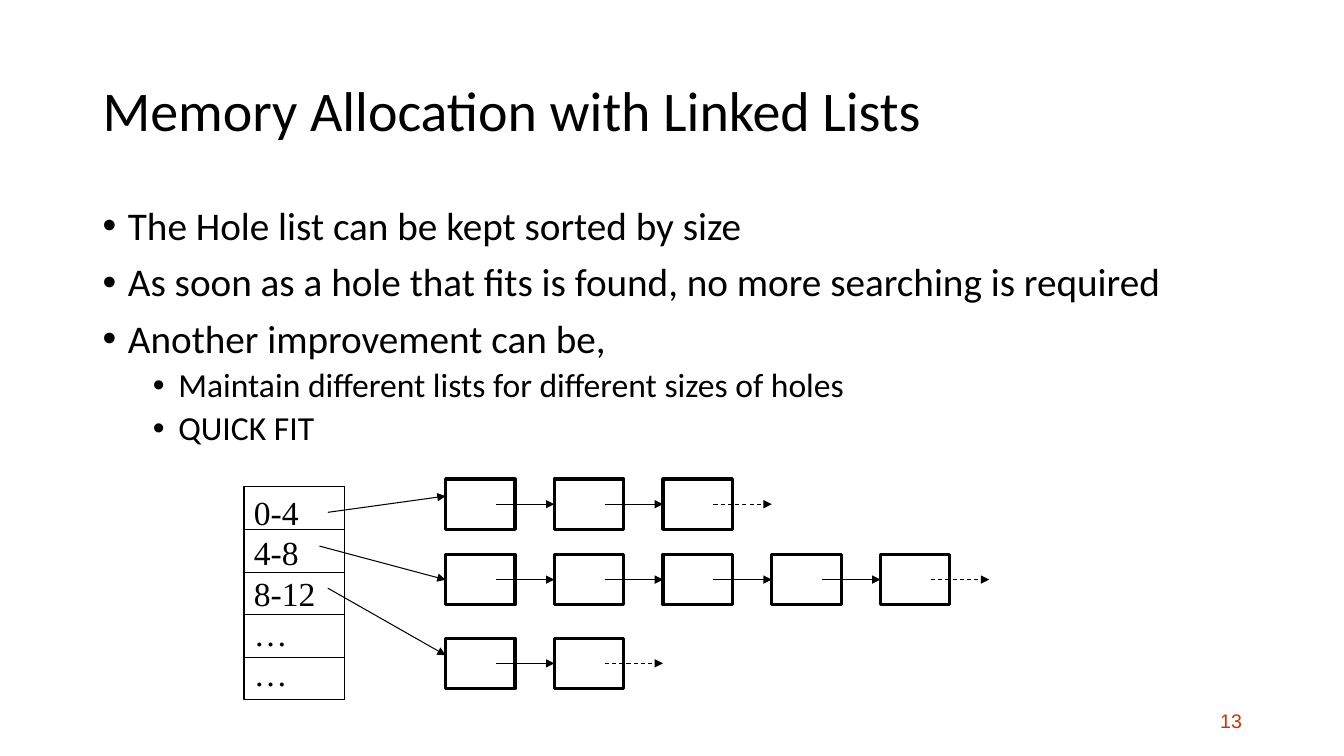
from dataclasses import dataclass

import pptx
import pptx.dml.color
import pptx.enum.dml
import pptx.enum.shapes
import pptx.enum.text
import pptx.oxml
import pptx.oxml.ns
import pptx.util
from pptx.util import Cm, Pt

BLACK = pptx.dml.color.RGBColor(0x00, 0x00, 0x00)
RUST = pptx.dml.color.RGBColor(0xCC, 0x33, 0x00)
ANCHOR = pptx.enum.text.MSO_ANCHOR
ALIGN = pptx.enum.text.PP_ALIGN

BOX_LEFT, BOX_PITCH, BOX_W, BOX_H = 11.23, 2.74, 1.75, 1.27
LINK_INSET = 1.27
TABLE_LEFT, TABLE_TOP, TABLE_W, TABLE_H = 6.15, 12.27, 2.54, 5.36


@dataclass
class Bullet:
    text: str
    level: int = 0


@dataclass
class HoleList:
    top: float
    holes: int
    pointer: tuple[float, float, float, float]


BULLETS = [
    Bullet("The Hole list can be kept sorted by size"),
    Bullet("As soon as a hole that fits is found, no more searching is required"),
    Bullet("Another improvement can be,"),
    Bullet("Maintain different lists for different sizes of holes", 1),
    Bullet("QUICK FIT", 1),
]
SIZE_CLASSES = ["0-4", "4-8", "8-12", "…", "…"]
HOLE_LISTS = [
    HoleList(12.07, 3, (8.26, 12.91, BOX_LEFT, 12.5)),
    HoleList(13.97, 5, (8.05, 13.76, BOX_LEFT, 14.61)),
    HoleList(16.08, 2, (8.26, 14.82, BOX_LEFT, 16.51)),
]


def add_run(p, text: str, size: float, font: str, color=BLACK) -> None:
    r = p.add_run()
    r.text = text
    r.font.size = Pt(size)
    r.font.name = font
    r.font.color.rgb = color


def place(sp, left: float, top: float, width: float, height: float) -> None:
    sp.left, sp.top, sp.width, sp.height = Cm(left), Cm(top), Cm(width), Cm(height)


def add_box(slide, left: float, top: float, width: float, height: float, weight: float):
    sp = slide.shapes.add_shape(
        pptx.enum.shapes.MSO_SHAPE.RECTANGLE, Cm(left), Cm(top), Cm(width), Cm(height))
    sp.shadow.inherit = False
    sp.fill.background()
    sp.line.color.rgb = BLACK
    sp.line.width = Pt(weight)
    return sp


def add_line(slide, x1: float, y1: float, x2: float, y2: float,
             arrow: bool = True, dashed: bool = False) -> None:
    cx = slide.shapes.add_connector(
        pptx.enum.shapes.MSO_CONNECTOR.STRAIGHT, Cm(x1), Cm(y1), Cm(x2), Cm(y2))
    cx.line.color.rgb = BLACK
    cx.line.width = Pt(0.75)
    if dashed:
        cx.line.dash_style = pptx.enum.dml.MSO_LINE.DASH
    if arrow:
        ln = cx.line._get_or_add_ln()
        ln.append(ln.makeelement(pptx.oxml.ns.qn("a:tailEnd"), {"type": "triangle"}))
    sp_pr = cx._element.spPr
    sp_pr.append(sp_pr.makeelement(pptx.oxml.ns.qn("a:effectLst"), {}))


def add_title(slide) -> None:
    sp = slide.shapes.title
    place(sp, 2.33, 1.02, 29.21, 3.68)
    tf = sp.text_frame
    tf.auto_size = pptx.enum.text.MSO_AUTO_SIZE.NONE
    tf.vertical_anchor = ANCHOR.MIDDLE
    p = tf.paragraphs[0]
    p.alignment = ALIGN.LEFT
    p.line_spacing = 0.9
    add_run(p, "Memory Allocation with Linked Lists", 40, "Calibri")


def add_bullets(slide) -> None:
    sp = slide.placeholders[1]
    place(sp, 2.33, 5.08, 29.21, 12.09)
    tf = sp.text_frame
    tf.auto_size = pptx.enum.text.MSO_AUTO_SIZE.NONE
    for i, item in enumerate(BULLETS):
        p = tf.add_paragraph() if i else tf.paragraphs[0]
        p.level = item.level
        p.line_spacing = 0.9
        p.space_before = Pt(5 if item.level else 10)
        p_pr = p._p.get_or_add_pPr()
        p_pr.set("marL", str(Cm(0.64 + 1.27 * item.level)))
        p_pr.set("indent", str(-Cm(0.64)))
        for tag, attrs in (("a:buFont", {"typeface": "Arial"}), ("a:buChar", {"char": "•"})):
            p_pr.append(p_pr.makeelement(pptx.oxml.ns.qn(tag), attrs))
        add_run(p, item.text, 24 if item.level else 28, "Calibri")


def add_size_table(slide) -> None:
    tf = add_box(slide, TABLE_LEFT, TABLE_TOP, TABLE_W, TABLE_H, 0.75).text_frame
    tf.vertical_anchor = ANCHOR.TOP
    for i, label in enumerate(SIZE_CLASSES):
        p = tf.add_paragraph() if i else tf.paragraphs[0]
        p.alignment = ALIGN.LEFT
        add_run(p, label, 24, "Times New Roman")
    row_h = TABLE_H / len(SIZE_CLASSES)
    for i in range(1, len(SIZE_CLASSES)):
        y = TABLE_TOP + i * row_h
        add_line(slide, TABLE_LEFT, y, TABLE_LEFT + TABLE_W, y, arrow=False)


def add_hole_list(slide, row: HoleList) -> None:
    y = row.top + BOX_H / 2
    for i in range(row.holes):
        left = BOX_LEFT + i * BOX_PITCH
        add_box(slide, left, row.top, BOX_W, BOX_H, 2.25)
        add_line(slide, left + LINK_INSET, y, left + BOX_PITCH, y,
                 dashed=i == row.holes - 1)
    add_line(slide, *row.pointer)


def add_page_number(slide) -> None:
    sp = slide.shapes.add_textbox(Cm(23.93), Cm(17.65), Cm(7.62), Cm(1.02))
    tf = sp.text_frame
    tf.word_wrap = True
    tf.vertical_anchor = ANCHOR.MIDDLE
    p = tf.paragraphs[0]
    p.alignment = ALIGN.RIGHT
    add_run(p, "13", 14, "Arial", RUST)


def main() -> None:
    prs = pptx.Presentation()
    prs.slide_width, prs.slide_height = Cm(33.87), Cm(19.05)
    slide = prs.slides.add_slide(prs.slide_layouts[1])
    add_title(slide)
    add_bullets(slide)
    add_size_table(slide)
    for row in HOLE_LISTS:
        add_hole_list(slide, row)
    add_page_number(slide)
    prs.save("out.pptx")


if __name__ == "__main__":
    main()
